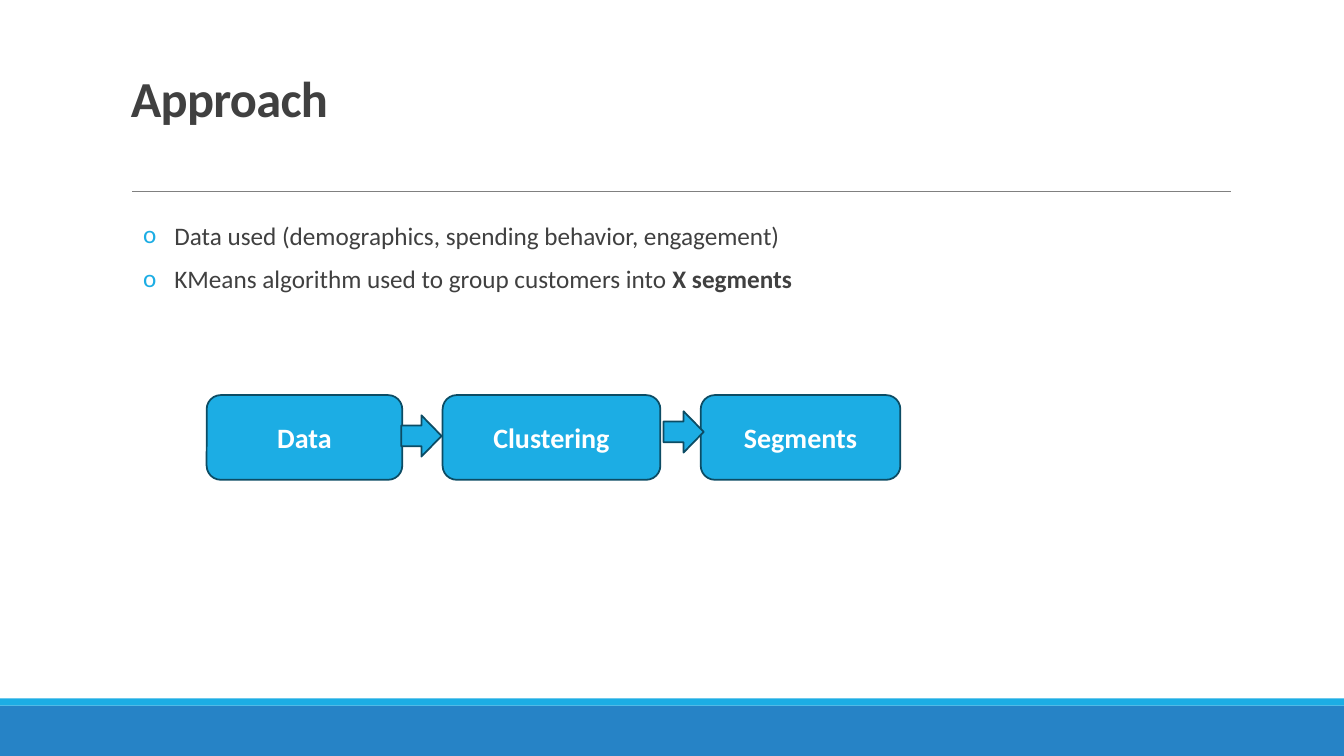
"""Build the Approach slide: two bullets and a three-step clustering flow."""
from lxml import etree
from pptx import Presentation
from pptx.dml.color import RGBColor
from pptx.enum.shapes import MSO_CONNECTOR, MSO_SHAPE
from pptx.enum.text import MSO_ANCHOR, PP_ALIGN
from pptx.oxml.ns import qn
from pptx.util import Inches, Pt

BAR, STEP, ARROW = MSO_SHAPE.RECTANGLE, MSO_SHAPE.ROUNDED_RECTANGLE, MSO_SHAPE.RIGHT_ARROW
STRAIGHT = MSO_CONNECTOR.STRAIGHT
TOP, MIDDLE, BOTTOM = MSO_ANCHOR.TOP, MSO_ANCHOR.MIDDLE, MSO_ANCHOR.BOTTOM
LEFT, CENTER = PP_ALIGN.LEFT, PP_ALIGN.CENTER

WHITE = RGBColor(0xFF, 0xFF, 0xFF)
INK = RGBColor(0x40, 0x40, 0x40)
GREY = RGBColor(0x80, 0x80, 0x80)
SKY = RGBColor(0x1C, 0xAD, 0xE4)
BLUE = RGBColor(0x26, 0x83, 0xC6)
NAVY = RGBColor(0x0C, 0x4C, 0x64)


def apply(target, values):
    for name, value in values.items():
        setattr(target, name, value)


class FlowSlide:
    font = "Calibri"

    def __init__(self, prs):
        self.slide = prs.slides.add_slide(prs.slide_layouts[6])

    def shape(self, kind, box, fill, outline=None):
        shape = self.slide.shapes.add_shape(kind, *map(Inches, box))
        shape.shadow.inherit = False
        shape.fill.solid()
        shape.fill.fore_color.rgb = fill
        if outline is None:
            shape.line.fill.background()
        else:
            shape.line.color.rgb = outline
            shape.line.width = Pt(1.25)
        return shape

    def rule(self, start, end):
        rule = self.slide.shapes.add_connector(STRAIGHT, *map(Inches, start + end))
        rule.line.color.rgb = GREY
        rule.line.width = Pt(0.5)
        etree.SubElement(rule._element.spPr, qn("a:effectLst"))

    def text_frame(self, box, **frame_format):
        frame = self.slide.shapes.add_textbox(*map(Inches, box)).text_frame
        apply(frame, {"word_wrap": True, **frame_format})
        return frame

    def run(self, paragraph, text, size, color, bold=False):
        run = paragraph.add_run()
        run.text = text
        apply(run.font, {"name": self.font, "size": Pt(size), "bold": bold})
        run.font.color.rgb = color
        return run

    def title(self, text, box):
        frame = self.text_frame(box, vertical_anchor=BOTTOM, margin_bottom=Inches(0.63))
        paragraph = frame.paragraphs[0]
        apply(paragraph, {"alignment": LEFT, "line_spacing": 0.85})
        run = self.run(paragraph, text, 36, INK, True)
        run.font._element.set("spc", "-50")

    def bullets(self, items, box):
        frame = self.text_frame(box, vertical_anchor=TOP, margin_left=0,
                                margin_right=0, margin_top=Inches(0.66))
        for index, pieces in enumerate(items):
            paragraph = frame.add_paragraph() if index else frame.paragraphs[0]
            apply(paragraph, {"level": 1, "line_spacing": 1.07, "space_after": Pt(8)})
            self.mark(paragraph)
            for text, bold in pieces:
                self.run(paragraph, text, 18, INK, bold)

    def mark(self, paragraph):
        properties = paragraph._p.get_or_add_pPr()
        properties.set("marL", str(Inches(0.81)))
        properties.set("indent", str(Inches(-0.31)))
        color = etree.SubElement(properties, qn("a:buClr"))
        etree.SubElement(color, qn("a:srgbClr"), val=str(SKY))
        etree.SubElement(properties, qn("a:buFont"), typeface=self.font)
        etree.SubElement(properties, qn("a:buChar"), char="o")

    def step(self, label, left, width):
        step = self.shape(STEP, (left, 3.92, width, 0.84), SKY, NAVY)
        apply(step.text_frame, {"vertical_anchor": MIDDLE, "word_wrap": True})
        paragraph = step.text_frame.paragraphs[0]
        paragraph.alignment = CENTER
        self.run(paragraph, label, 20, WHITE, True)

    def arrow(self, left, top):
        self.shape(ARROW, (left, top, 0.4, 0.41), SKY, NAVY)


def main():
    prs = Presentation()
    apply(prs, {"slide_width": Inches(13.33), "slide_height": Inches(7.5)})
    approach = FlowSlide(prs)
    approach.shape(BAR, (0, 7, 13.33, 0.5), BLUE)
    approach.shape(BAR, (0, 6.93, 13.33, 0.07), SKY)
    approach.rule((1.31, 1.9), (12.21, 1.9))
    approach.title("Approach", (1.2, 0.31, 11, 1.59))
    approach.bullets([
        [("Data used (demographics, spending behavior, engagement)", False)],
        [("KMeans algorithm used to group customers into ", False), ("X segments", True)],
    ], (0.92, 1.5, 11.5, 2.25))
    left, gap = 2.05, 0.4
    for label, width in (("Data", 1.94), ("Clustering", 2.16), ("Segments", 1.98)):
        approach.step(label, left, width)
        left += width + gap
    for arrow_left, arrow_top in ((3.98, 4.12), (6.58, 4.08)):
        approach.arrow(arrow_left, arrow_top)
    prs.save("out.pptx")


if __name__ == "__main__":
    main()
